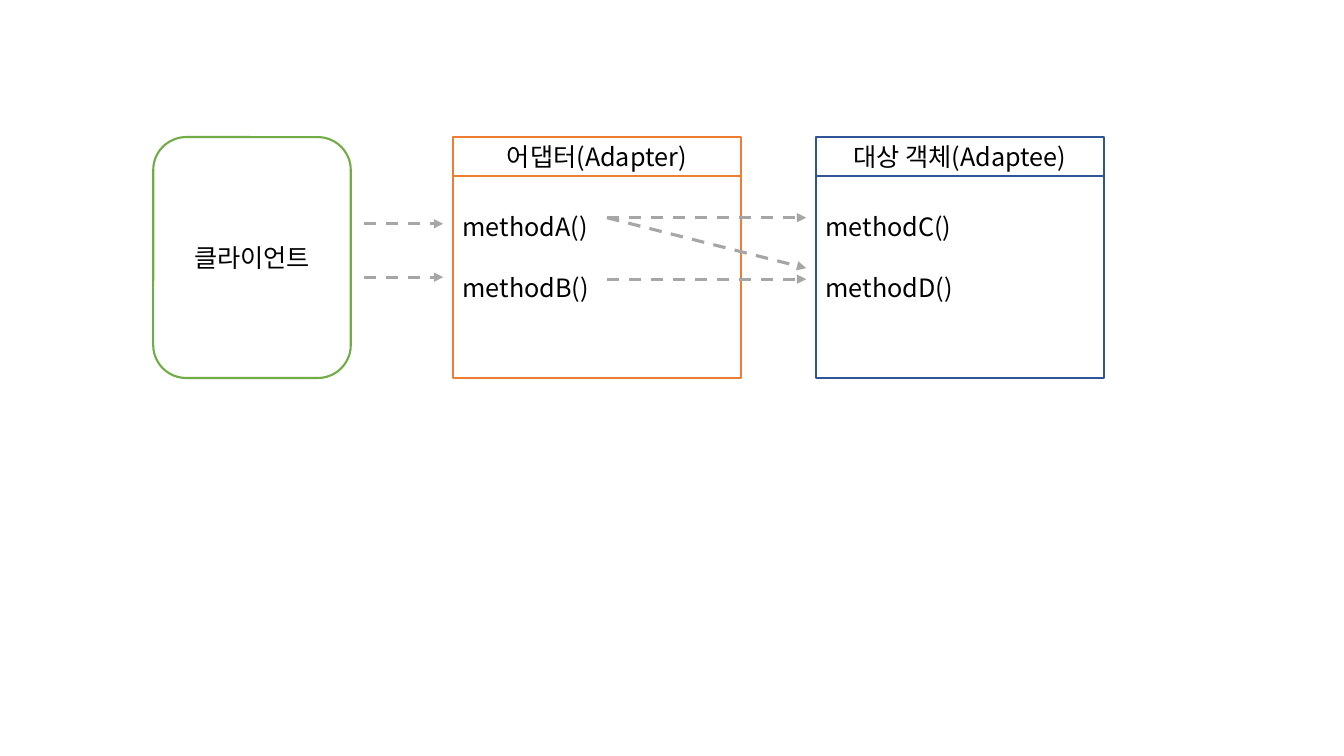
"""Draw the adapter pattern: a client calls an adapter that forwards to an adaptee."""
from dataclasses import dataclass

from lxml import etree
from pptx import Presentation
from pptx import util as u
from pptx.dml.color import RGBColor
from pptx.enum import dml, shapes, text
from pptx.oxml import ns

FONT = "Noto Sans CJK KR"
WHITE, BLACK, GRAY = "FFFFFF", "000000", "A6A6A6"
GREEN, ORANGE, BLUE = "70AD47", "ED7D31", "2F5597"
COLS = ROWS = 100
TOP, HEADER_H, BODY_H = 18.13, 5.2, 26.67
CLIENT_X, CLIENT_W = 11.4, 14.7
ADAPTER_X, ADAPTEE_X, CLASS_W = 33.68, 60.69, 21.46
CALL_START, FORWARD_START, TIP_GAP = 27.08, 45.16, 0.7


@dataclass(frozen=True)
class Box:
    x: float
    y: float
    w: float
    h: float
    color: str
    lines: tuple[str, ...]
    rounded: bool = False
    is_list: bool = False


@dataclass(frozen=True)
class Arrow:
    x1: float
    y1: float
    x2: float
    y2: float


def rgb(color: str) -> RGBColor:
    return RGBColor.from_string(color)


def across(cols: float) -> int:
    return round(prs.slide_width * cols / COLS)


def down(rows: float) -> int:
    return round(prs.slide_height * rows / ROWS)


def class_boxes(x: float, color: str, name: str, methods: tuple[str, ...]) -> list[Box]:
    return [
        Box(x, TOP + HEADER_H, CLASS_W, BODY_H, color, methods, is_list=True),
        Box(x, TOP, CLASS_W, HEADER_H, color, (name,)),
    ]


def draw_box(parent, box: Box) -> None:
    kind = shapes.MSO_SHAPE.ROUNDED_RECTANGLE if box.rounded else shapes.MSO_SHAPE.RECTANGLE
    sp = parent.add_shape(kind, across(box.x), down(box.y), across(box.w), down(box.h))
    sp.shadow.inherit = False
    sp.fill.solid()
    sp.fill.fore_color.rgb = rgb(WHITE)
    sp.line.color.rgb = rgb(box.color)
    sp.line.width = u.Pt(1.5)
    tf = sp.text_frame
    tf.word_wrap = True
    tf.vertical_anchor = text.MSO_ANCHOR.TOP if box.is_list else text.MSO_ANCHOR.MIDDLE
    for i, line in enumerate(box.lines):
        p = tf.add_paragraph() if i else tf.paragraphs[0]
        p.alignment = text.PP_ALIGN.LEFT if box.is_list else text.PP_ALIGN.CENTER
        if box.is_list:
            p.line_spacing = 2.0
        r = p.add_run()
        r.text = line
        r.font.size = u.Pt(18)
        r.font.color.rgb = rgb(BLACK)
        r.font.name = FONT
        etree.SubElement(r.font._element, ns.qn("a:ea"), typeface=FONT)


def draw_arrow(parent, arrow: Arrow) -> None:
    sp = parent.add_connector(
        shapes.MSO_CONNECTOR.STRAIGHT,
        across(arrow.x1), down(arrow.y1), across(arrow.x2), down(arrow.y2),
    )
    sp.line.color.rgb = rgb(GRAY)
    sp.line.width = u.Pt(2.25)
    sp.line.dash_style = dml.MSO_LINE.DASH
    etree.SubElement(sp.line._get_or_add_ln(), ns.qn("a:tailEnd"), type="triangle")
    etree.SubElement(sp._element.spPr, ns.qn("a:effectLst"))


BOXES = [
    Box(CLIENT_X, TOP, CLIENT_W, HEADER_H + BODY_H, GREEN, ("클라이언트",), rounded=True),
    *class_boxes(ADAPTER_X, ORANGE, "어댑터(Adapter)", ("methodA()", "methodB()")),
    *class_boxes(ADAPTEE_X, BLUE, "대상 객체(Adaptee)", ("methodC()", "methodD()")),
]
CALLS = [Arrow(CALL_START, y, ADAPTER_X - TIP_GAP, y) for y in (29.6, 36.67)]
FORWARDS = [
    Arrow(FORWARD_START, y1, ADAPTEE_X - TIP_GAP, y2)
    for y1, y2 in ((28.8, 28.8), (36.93, 36.93), (28.8, 35.47))
]

prs = Presentation()
prs.slide_width, prs.slide_height = u.Inches(13.33), u.Inches(7.5)
s = prs.slides.add_slide(prs.slide_layouts[6])
diagram = s.shapes.add_group_shape().shapes
for box in BOXES:
    draw_box(diagram, box)
for arrow in CALLS + FORWARDS:
    draw_arrow(diagram, arrow)
prs.save("out.pptx")
